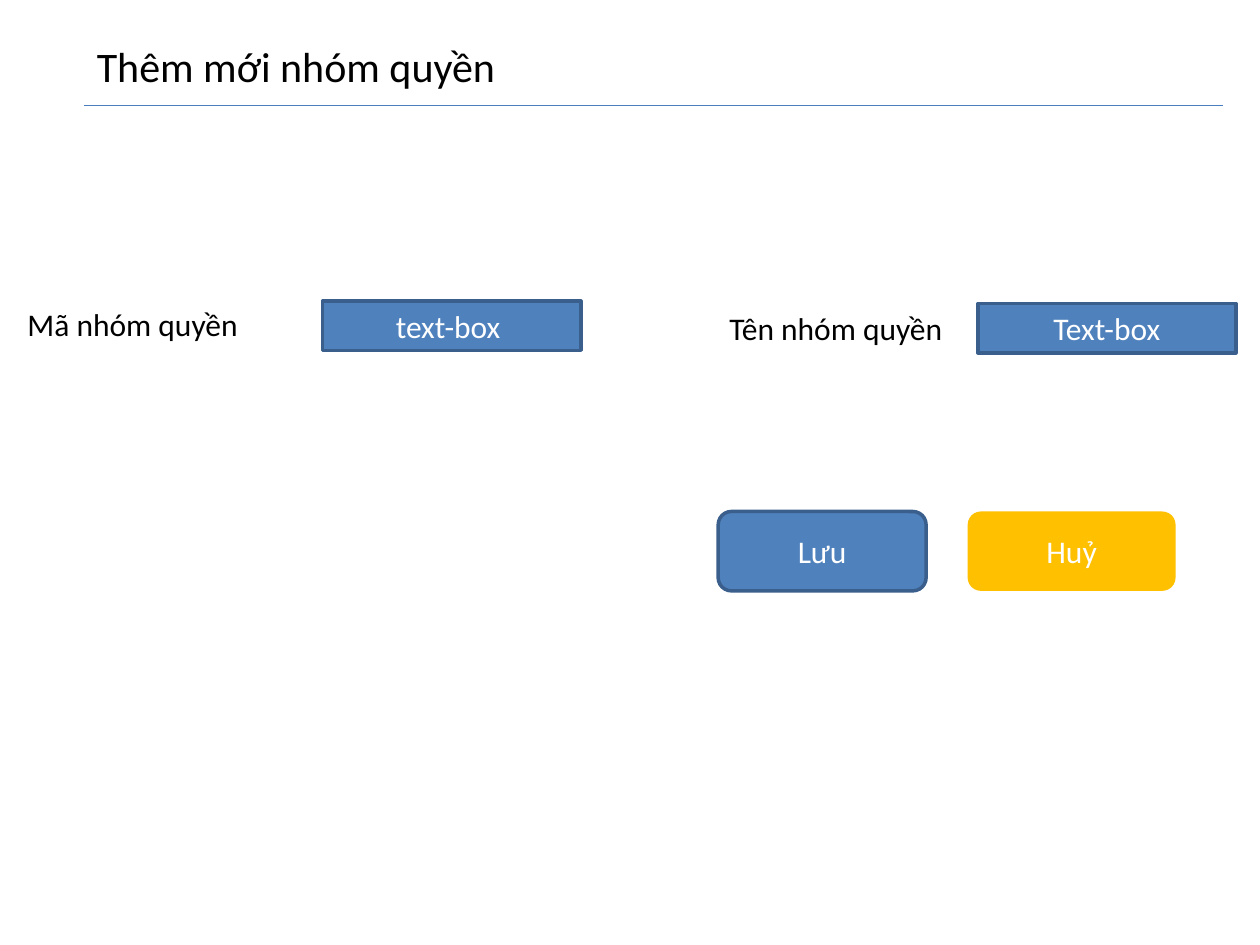
from lxml import etree
from pptx import Presentation
from pptx import util as u
from pptx.dml.color import RGBColor
from pptx.enum import shapes, text

WIDE, HIGH = u.Inches(10), u.Inches(7.5)
HUES = {"blue": "4F81BD", "edge": "3A5F8C", "gold": "FFC000",
        "rule": "4B7EBC", "ink": "000000", "white": "FFFFFF"}
FIELD, BUTTON = (20.5, 5.2), (16.5, 8.4)
RECT, ROUND = shapes.MSO_SHAPE.RECTANGLE, shapes.MSO_SHAPE.ROUNDED_RECTANGLE


def hue(name):
    """Return the named colour."""
    return RGBColor.from_string(HUES[name])


def place(*shares):
    """Turn percent shares of the slide, x and y in turn, into lengths."""
    return [round(side * share / 100) for share, side in zip(shares, (WIDE, HIGH) * 2)]


def write(shape, words, size, ink, **frame):
    """Write one line of text with its font and frame formats."""
    body = shape.text_frame
    for key, value in {"word_wrap": True, **frame}.items():
        setattr(body, key, value)
    para = body.paragraphs[0]
    run = para.add_run()
    run.text = words
    for key, value in {"name": "Calibri", "size": u.Pt(size)}.items():
        setattr(run.font, key, value)
    run.font.color.rgb = hue(ink)
    return para


def label(slide, words, spot, size=18):
    """Add a plain text label."""
    box = slide.shapes.add_textbox(*place(*spot))
    write(box, words, size, "ink", auto_size=text.MSO_AUTO_SIZE.SHAPE_TO_FIT_TEXT)


def block(slide, kind, words, spot, fill="blue", edge="edge"):
    """Add a filled field or button with centred text."""
    shape = slide.shapes.add_shape(kind, *place(*spot))
    shape.shadow.inherit = False
    shape.fill.solid()
    shape.fill.fore_color.rgb = hue(fill)
    if edge:
        shape.line.color.rgb = hue(edge)
        shape.line.width = u.Pt(2)
    else:
        shape.line.fill.background()
    para = write(shape, words, 18, "white", vertical_anchor=text.MSO_ANCHOR.MIDDLE)
    para.alignment = text.PP_ALIGN.CENTER


def rule(slide, spot):
    """Add the thin line below the title."""
    line = slide.shapes.add_connector(shapes.MSO_CONNECTOR.STRAIGHT, *place(*spot))
    line.line.color.rgb = hue("rule")
    line.line.width = u.Pt(0.75)
    props = line._element.spPr
    etree.SubElement(props, props.tag.replace("presentationml", "drawingml").split("}")[0]
                     .replace("drawingml/2006/main", "drawingml/2006/main")
                     + "}effectLst")


def main():
    """Build the form slide and save it."""
    deck = Presentation()
    deck.slide_width, deck.slide_height = WIDE, HIGH
    slide = deck.slides.add_slide(deck.slide_layouts[6])
    label(slide, "Thêm mới nhóm quyền", (6.7, 3.6, 90.4, 6.67), 24)
    rule(slide, (6.7, 11.2, 97.1, 11.2))
    block(slide, RECT, "text-box ", (25.6, 31.87, *FIELD))
    label(slide, "Mã nhóm quyền", (1.2, 31.6, 27.6, 5.33))
    block(slide, RECT, "Text-box", (77.6, 32.13, *FIELD))
    label(slide, "Tên nhóm quyền", (56.9, 32, 22.8, 5.33))
    block(slide, ROUND, "Lưu", (57, 54.13, *BUTTON))
    block(slide, ROUND, "Huỷ", (76.8, 54.13, *BUTTON), "gold", None)
    deck.save("out.pptx")


if __name__ == "__main__":
    main()
